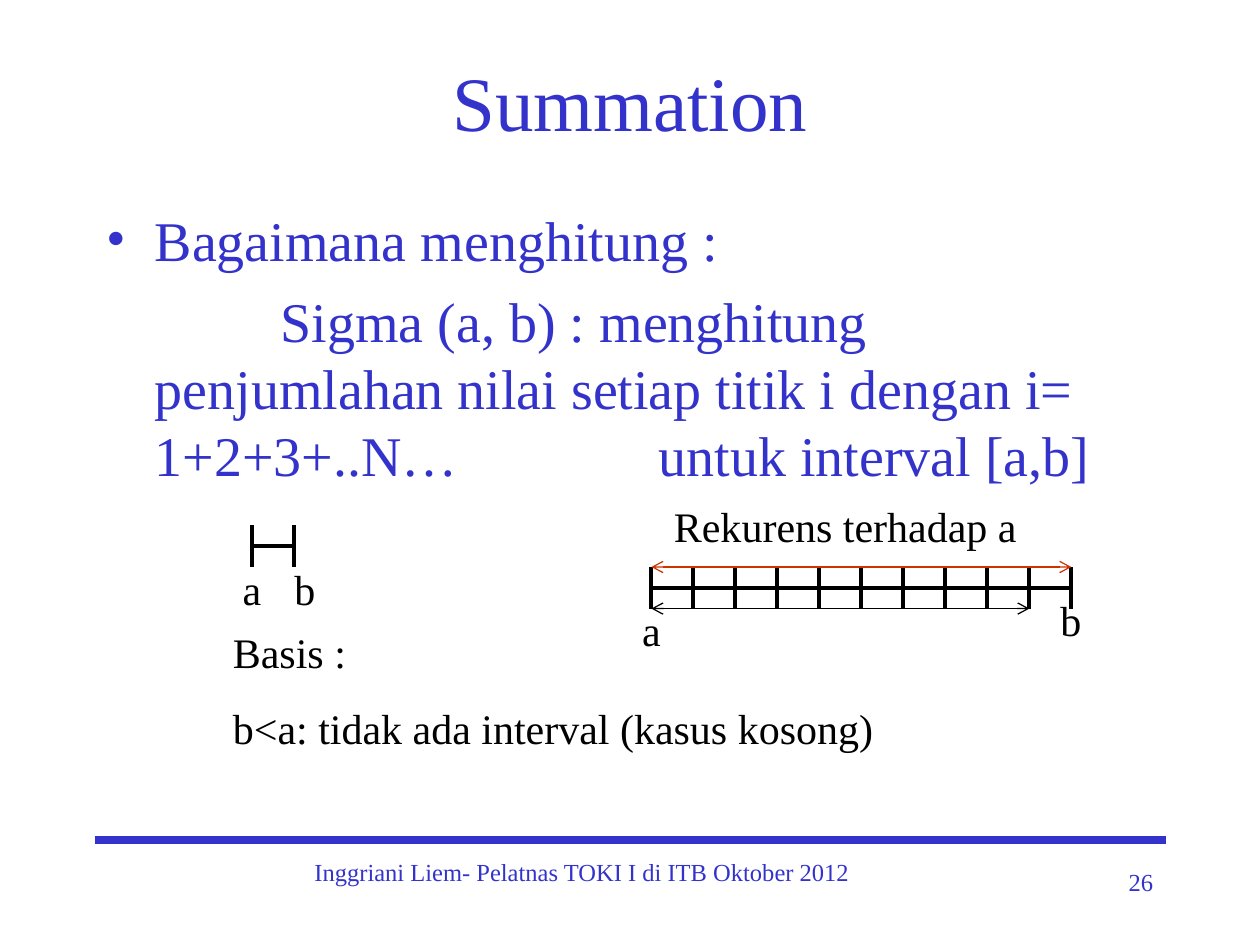
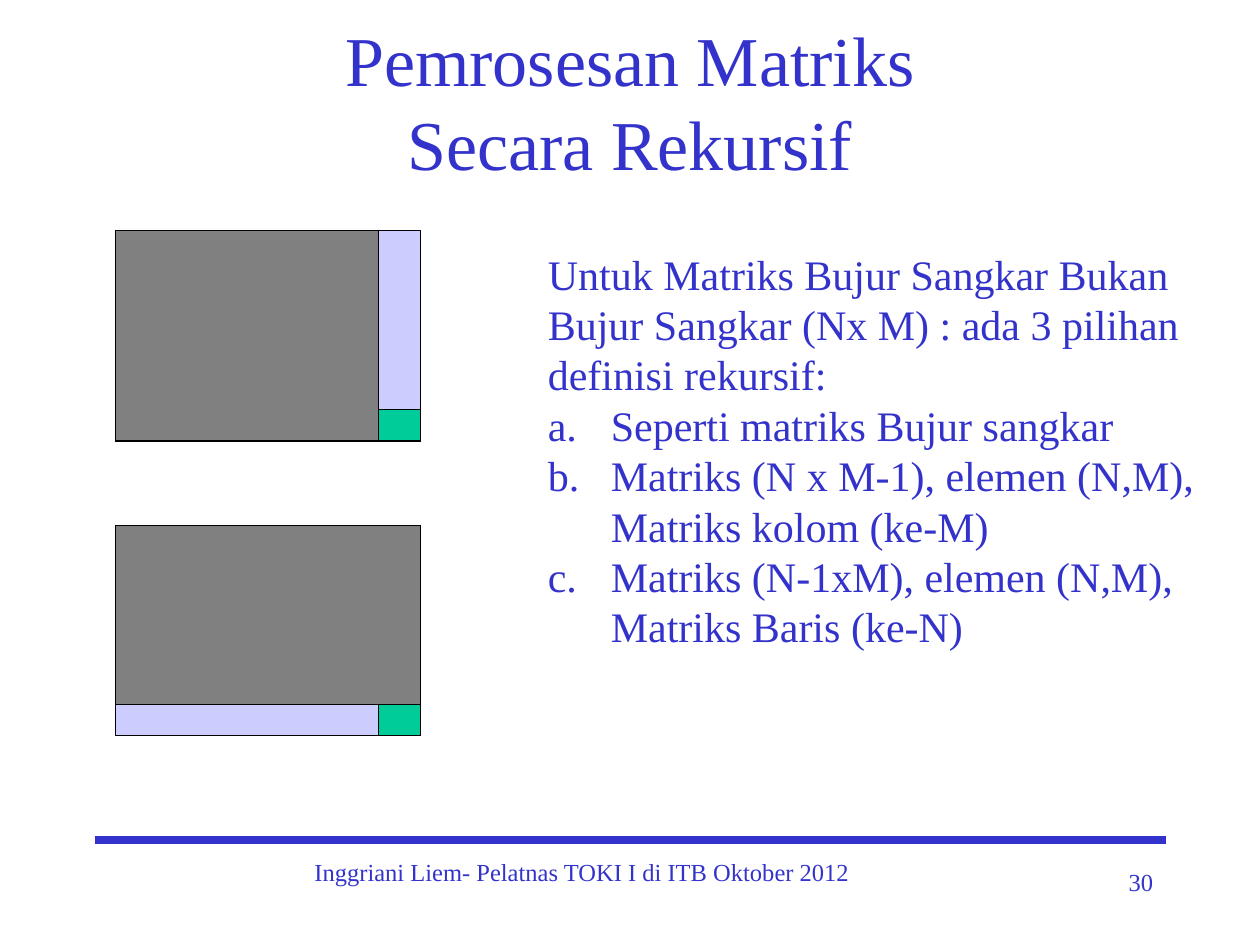
from lxml.etree import SubElement
from pptx import Presentation
from pptx.dml.color import RGBColor
from pptx.enum.shapes import MSO_CONNECTOR as CONNECTOR, MSO_SHAPE as SHAPE
from pptx.enum.text import MSO_ANCHOR as ANCHOR, MSO_AUTO_SIZE as AUTO_SIZE, PP_ALIGN as ALIGN
from pptx.oxml.ns import qn
from pptx.util import Inches, Pt

FONT = "Times New Roman"
BLUE, BLACK, RED = "3333CC", "000000", "CC3300"
GRAY, LILAC, GREEN = "808080", "CCCCFF", "00CC99"
FOOTER = "Inggriani Liem- Pelatnas TOKI I di ITB Oktober 2012"

SUMMATION = {
    "number": 26,
    "title": "Summation",
    "title_size": 44,
    "question": [
        "Bagaimana menghitung :",
        "\t\tSigma (a, b) : menghitung penjumlahan nilai setiap titik i "
        "dengan i= 1+2+3+..N…\t\tuntuk interval [a,b]",
    ],
    "basis": ["Basis :", "b<a: tidak ada interval (kasus kosong)"],
    "recurrence": ["Rekurens terhadap a"],
    # left, top, number of steps
    "intervals": [(5.17, 4.5, 10), (2, 4.17, 1)],
    # label, left, top
    "ends": [("a", 4.92, 4.75), ("b", 8.25, 4.67), ("a", 1.75, 4.42), ("b", 2.17, 4.42)],
    # first step, last step, y, colour
    "spans": [(0, 9, 4.83, BLACK), (0, 10, 4.5, RED)],
}
MATRIX = {
    "number": 30,
    "title": "Pemrosesan Matriks\vSecara Rekursif",
    "title_size": 40,
    "intro": "\tUntuk Matriks Bujur Sangkar Bukan Bujur Sangkar (Nx M) : "
             "ada 3 pilihan definisi rekursif:",
    "choices": [
        "Seperti matriks Bujur sangkar",
        "Matriks (N x M-1), elemen (N,M), Matriks kolom (ke-M)",
        "Matriks (N-1xM), elemen (N,M), Matriks Baris (ke-N)",
    ],
    # top, width and height of the remaining matrix
    "splits": [(1.83, 2.09, 1.67), (4.17, 2.42, 1.42)],
}

STEP = 1 / 3
TICK_HEIGHT = 1 / 3
MATRIX_LEFT, MATRIX_WIDTH, MATRIX_HEIGHT = 11 / 12, 2.42, 1.67
ELEMENT_WIDTH, ELEMENT_HEIGHT = 0.33, 0.25


def color(hex_value):
    return RGBColor.from_string(hex_value)


def add_text(slide, box, paragraphs, size, hex_value=BLACK, align=ALIGN.LEFT,
             before=0, anchor=ANCHOR.TOP, grow=False):
    frame = slide.shapes.add_textbox(*map(Inches, box)).text_frame
    frame.word_wrap = True
    frame.vertical_anchor = anchor
    frame.auto_size = AUTO_SIZE.SHAPE_TO_FIT_TEXT if grow else AUTO_SIZE.NONE
    frame.text = "\n".join(paragraphs)
    for paragraph in frame.paragraphs:
        paragraph.alignment = align
        paragraph.space_before = Pt(before)
        for run in paragraph.runs:
            run.font.name = FONT
            run.font.size = Pt(size)
            run.font.color.rgb = color(hex_value)
    return frame.paragraphs


def set_indent(paragraph, left, hanging, bullet=None, **bullet_attributes):
    """Hang the first line, set tabs one inch apart and add a bullet element."""
    properties = paragraph._p.get_or_add_pPr()
    properties.set("marL", str(Inches(left)))
    properties.set("indent", str(-Inches(hanging)))
    properties.set("defTabSz", str(Inches(1)))
    if bullet:
        SubElement(properties, qn("a:buFont"), typeface=FONT)
        SubElement(properties, qn(bullet), bullet_attributes)


def add_line(slide, x1, y1, x2, y2, hex_value=BLACK, width=2.25, arrows=False):
    line = slide.shapes.add_connector(CONNECTOR.STRAIGHT, *map(Inches, (x1, y1, x2, y2)))
    line.line.color.rgb = color(hex_value)
    line.line.width = Pt(width)
    if arrows:
        for end in ("a:headEnd", "a:tailEnd"):
            SubElement(line.line._get_or_add_ln(), qn(end), type="arrow")
    SubElement(line._element.spPr, qn("a:effectLst"))


def add_block(slide, left, top, width, height, fill):
    block = slide.shapes.add_shape(SHAPE.RECTANGLE, *map(Inches, (left, top, width, height)))
    block.shadow.inherit = False
    block.fill.solid()
    block.fill.fore_color.rgb = color(fill)
    block.line.color.rgb = color(BLACK)
    block.line.width = Pt(0.75)


def add_slide(deck, content):
    """Blank slide with the shared rule, footer, number and title."""
    slide = deck.slides.add_slide(deck.slide_layouts[6])
    add_line(slide, 0.75, 6.67, 9.25, 6.67, BLUE, 4.5)
    add_text(slide, (2.33, 6.75, 4.58, 0.5), [FOOTER], 14, BLUE, ALIGN.CENTER)
    add_text(slide, (7.17, 6.83, 2.08, 0.5), [str(content["number"])], 14, BLUE, ALIGN.RIGHT)
    add_text(slide, (0.75, 0.17, 8.5, 1.25), [content["title"]], content["title_size"],
             BLUE, ALIGN.CENTER, anchor=ANCHOR.MIDDLE)
    return slide


def add_interval(slide, left, top, steps):
    middle = top + TICK_HEIGHT / 2
    for step in range(steps + 1):
        x = left + step * STEP
        add_line(slide, x, top, x, top + TICK_HEIGHT)
        if step:
            add_line(slide, x - STEP, middle, x, middle)


def build_summation(deck):
    slide = add_slide(deck, SUMMATION)
    question, sigma = add_text(slide, (0.75, 1.58, 8.5, 5.08), SUMMATION["question"],
                               32, BLUE, before=8)
    set_indent(question, 0.38, 0.38, "a:buChar", char="•")
    set_indent(sigma, 0.38, 0.38)

    for label, left, top in SUMMATION["ends"]:
        add_text(slide, (left, top, 0.5, 0.5), [label], 24, align=ALIGN.CENTER,
                 before=15, grow=True)
    for interval in SUMMATION["intervals"]:
        add_interval(slide, *interval)
    origin = SUMMATION["intervals"][0][0]
    for first, last, y, hex_value in SUMMATION["spans"]:
        add_line(slide, origin + first * STEP, y, origin + last * STEP, y,
                 hex_value, 0.75, arrows=True)

    add_text(slide, (1.75, 4.92, 6.67, 1.11), SUMMATION["basis"], 24, before=15, grow=True)
    add_text(slide, (5.25, 3.92, 3.08, 0.5), SUMMATION["recurrence"], 24, before=15, grow=True)


def build_matrix(deck):
    slide = add_slide(deck, MATRIX)
    intro, *choices = add_text(slide, (3.75, 1.92, 5.83, 3.7),
                               [MATRIX["intro"], *MATRIX["choices"]], 24, BLUE, grow=True)
    set_indent(intro, 0.5, 0.5)
    for choice in choices:
        choice.level = 1
        set_indent(choice, 1, 0.5, "a:buAutoNum", type="alphaLcPeriod")

    for top, rest_width, rest_height in MATRIX["splits"]:
        add_block(slide, MATRIX_LEFT, top, MATRIX_WIDTH, MATRIX_HEIGHT, LILAC)
        add_block(slide, MATRIX_LEFT, top, rest_width, rest_height, GRAY)
        add_block(slide, MATRIX_LEFT + MATRIX_WIDTH - ELEMENT_WIDTH,
                  top + MATRIX_HEIGHT - ELEMENT_HEIGHT, ELEMENT_WIDTH, ELEMENT_HEIGHT, GREEN)
        add_line(slide, MATRIX_LEFT, top + 4 * STEP, MATRIX_LEFT, top, width=0.75)


def main():
    deck = Presentation()
    deck.slide_width, deck.slide_height = Inches(10), Inches(7.5)
    build_summation(deck)
    build_matrix(deck)
    deck.save("out.pptx")


if __name__ == "__main__":
    main()
